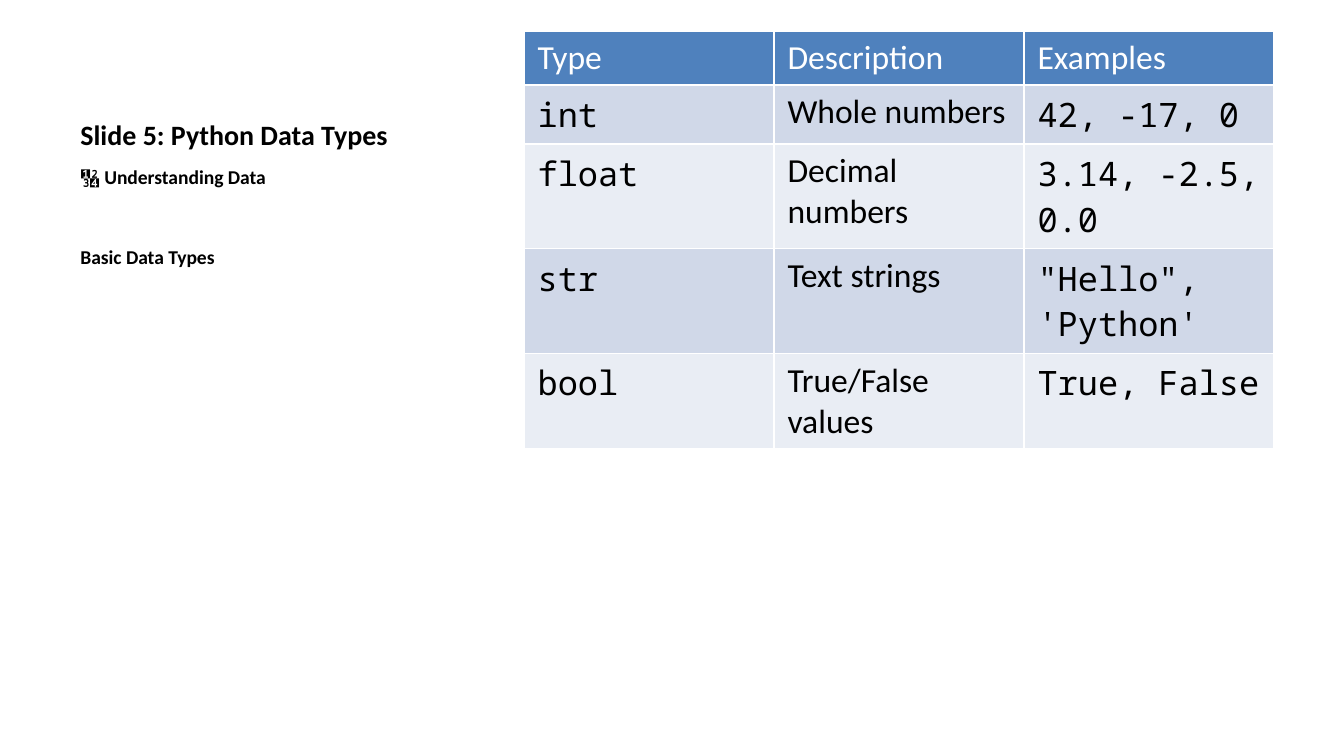
from typing import NamedTuple

from pptx import Presentation
from pptx.dml.color import RGBColor
from pptx.enum.text import MSO_ANCHOR
from pptx.util import Inches, Pt

TOP, BOTTOM = MSO_ANCHOR.TOP, MSO_ANCHOR.BOTTOM
SANS, MONO = "Calibri", "Noto Sans Mono"
BLACK, WHITE = "000000", "FFFFFF"
HEAD, BANDS = "4F81BD", ("D0D8E8", "E9EDF4")
WIDTH = 10


class Block(NamedTuple):
    top: float
    height: float
    anchor: MSO_ANCHOR
    size: float
    lines: tuple[str, ...]


class Row(NamedTuple):
    height: float
    cells: tuple[str, str, str]


BLOCKS = (
    Block(0.22, 0.95, BOTTOM, 15, ("Slide 5: Python Data Types",)),
    Block(1.18, 3.85, TOP, 10.5, ("🔢 Understanding Data", "Basic Data Types")),
)
ROWS = (
    Row(0.4, ("Type", "Description", "Examples")),
    Row(0.44, ("int", "Whole numbers", "42, -17, 0")),
    Row(0.78, ("float", "Decimal numbers", "3.14, -2.5, 0.0")),
    Row(0.78, ("str", "Text strings", "\"Hello\", 'Python'")),
    Row(0.71, ("bool", "True/False values", "True, False")),
)


def color(code: str) -> RGBColor:
    return RGBColor.from_string(code)


def style(para, name: str, size: float, code: str, bold: bool) -> None:
    font = para.font
    font.name, font.size, font.bold = name, Pt(size), bold
    font.color.rgb = color(code)


def draw_block(slide, block: Block) -> None:
    box = slide.shapes.add_textbox(
        Inches(0.5), Inches(block.top), Inches(3.29), Inches(block.height))
    frame = box.text_frame
    frame.word_wrap = True
    frame.vertical_anchor = block.anchor
    frame.text = "\n".join(block.lines)
    for i, para in enumerate(frame.paragraphs):
        style(para, SANS, block.size, BLACK, True)
        if i:
            para.space_before = Pt(30)


def draw_table(slide, rows: tuple[Row, ...]) -> None:
    total = sum(row.height for row in rows)
    table = slide.shapes.add_table(
        len(rows), 3, Inches(3.9), Inches(0.23), Inches(5.58), Inches(total)).table
    for r, row in enumerate(rows):
        table.rows[r].height = Inches(row.height)
        for c, text in enumerate(row.cells):
            cell = table.cell(r, c)
            cell.text = text
            cell.fill.solid()
            cell.fill.fore_color.rgb = color(BANDS[(r - 1) % 2] if r else HEAD)
            # Code columns flank the plain description
            name = MONO if r and c != 1 else SANS
            style(cell.text_frame.paragraphs[0], name, 18,
                  BLACK if r else WHITE, False)


def main() -> None:
    deck = Presentation()
    deck.slide_width = Inches(WIDTH)
    deck.slide_height = Inches(WIDTH * 9 / 16)
    slide = deck.slides.add_slide(deck.slide_layouts[6])

    # Title and subheads
    for block in BLOCKS:
        draw_block(slide, block)

    # Data types
    draw_table(slide, ROWS)
    deck.save("out.pptx")


if __name__ == "__main__":
    main()
